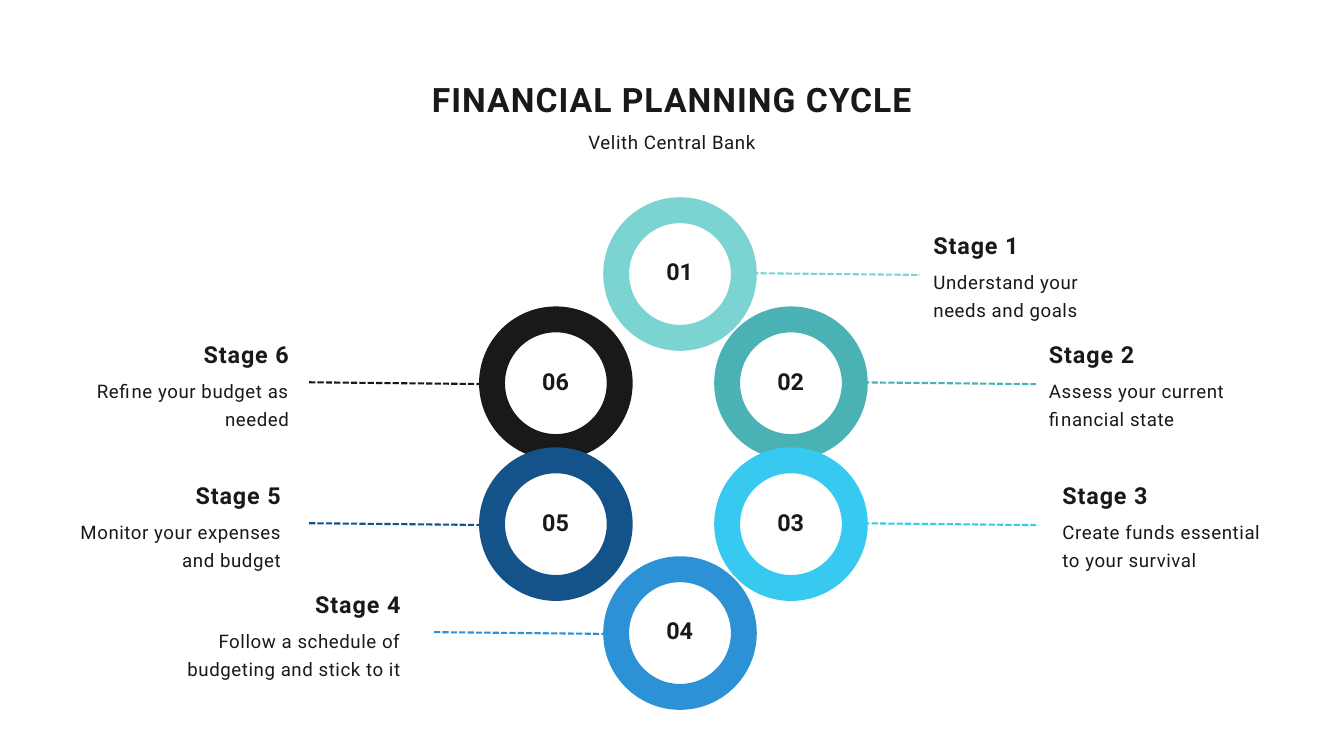
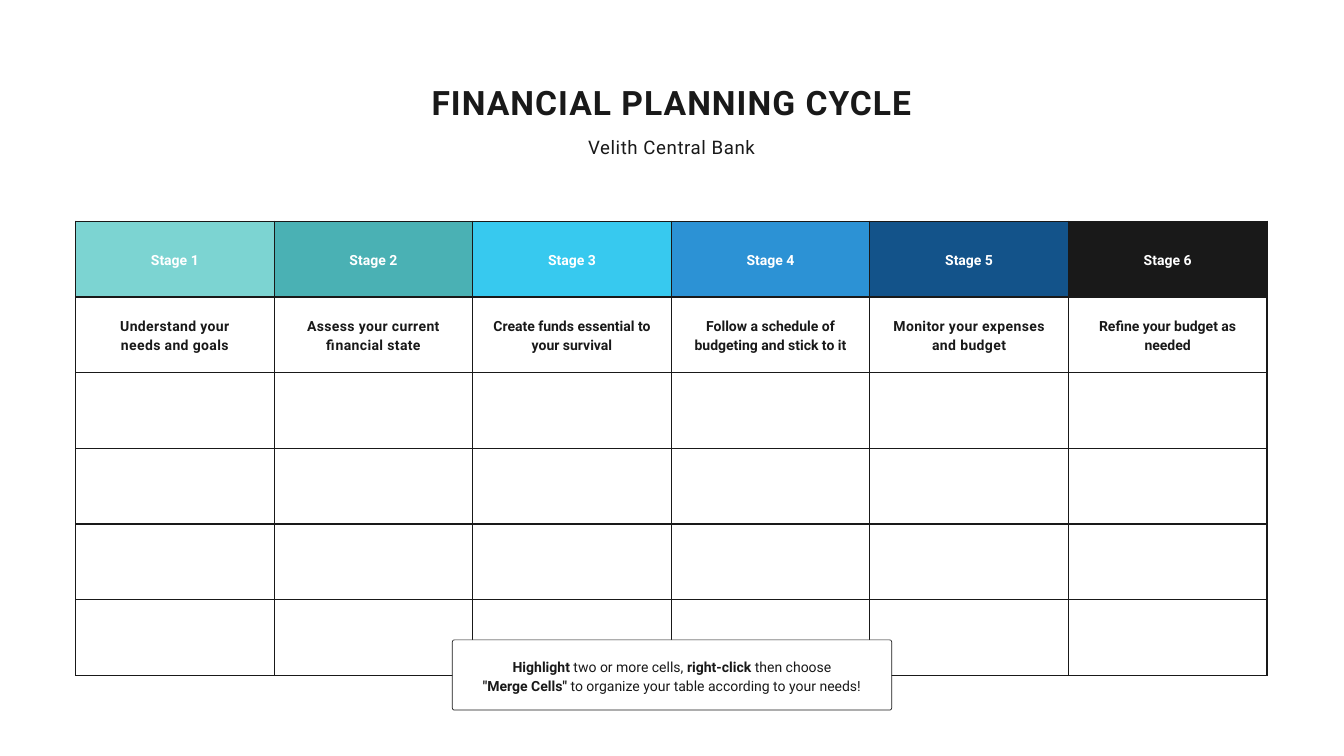
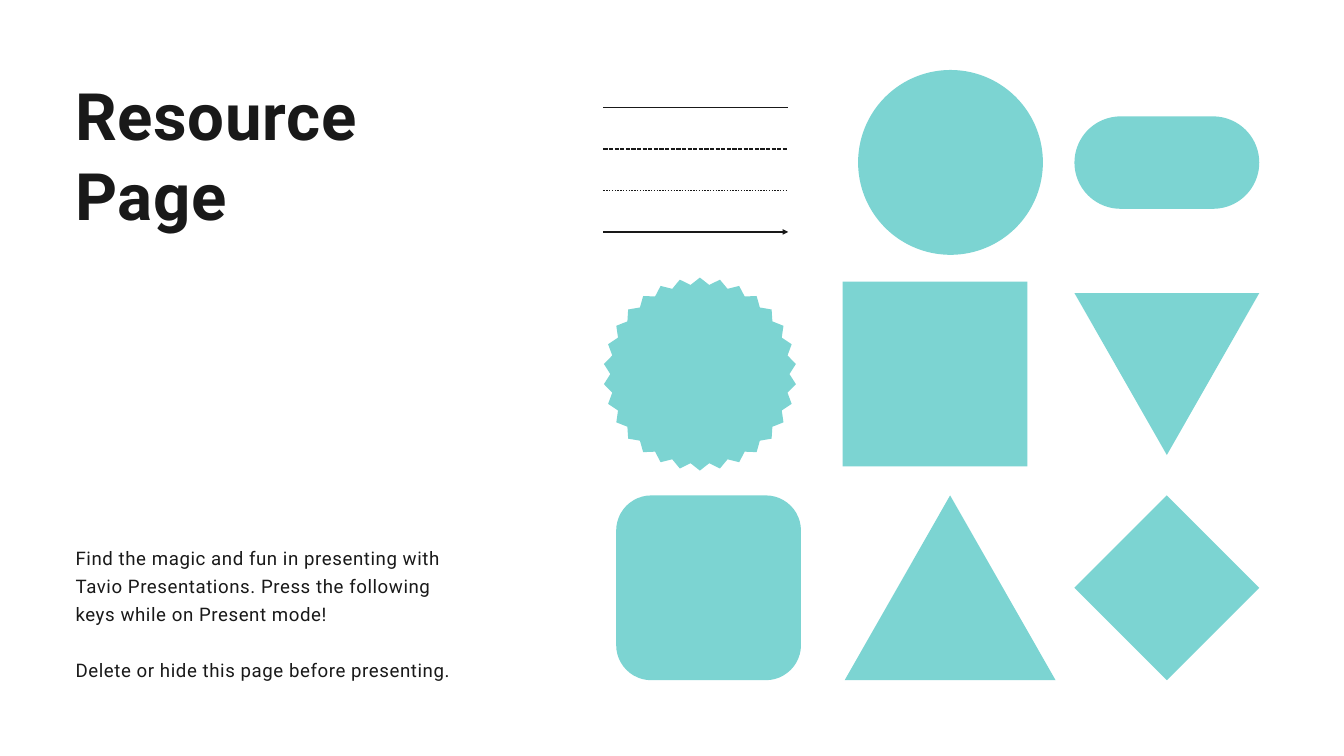
import math
from dataclasses import dataclass, replace

import lxml.etree as etree
import pptx
import pptx.dml.color
import pptx.enum.dml
import pptx.enum.shapes
import pptx.enum.text
import pptx.oxml.ns
import pptx.util

Pt = pptx.util.Pt
qn = pptx.oxml.ns.qn
Shape = pptx.enum.shapes.MSO_SHAPE
Dash = pptx.enum.dml.MSO_LINE
Align = pptx.enum.text.PP_ALIGN
Anchor = pptx.enum.text.MSO_ANCHOR


@dataclass(frozen=True)
class Style:
    size: float
    lead: float
    bold: bool = False
    track: float = 0
    color: str = "191919"


@dataclass(frozen=True)
class Theme:
    font: str = "Roboto"
    ink: str = "191919"
    paper: str = "FFFFFF"
    mint: str = "7CD4D2"
    title: Style = Style(36, 47.2, True, 1.1)
    body: Style = Style(20, 30, track=0.6)
    stage: Style = Style(25, 35, True, 1)
    number: Style = Style(25, 37.5, True)
    cell: Style = Style(15, 21, True)
    note: Style = Style(15, 21)
    cover: Style = Style(70, 86.1, True, 0.7)


THEME = Theme()
TITLE = "FINANCIAL PLANNING CYCLE"
BANK = "Velith Central Bank"

# colour and lines of text, stage by stage
STAGES = [
    (THEME.mint, ["Understand your", "needs and goals"]),
    ("4AB1B4", ["Assess your current", "financial state"]),
    ("37C9EF", ["Create funds essential to your survival"]),
    ("2C92D5", ["Follow a schedule of budgeting and stick to it"]),
    ("13538A", ["Monitor your expenses", "and budget"]),
    (THEME.ink, ["Refine your budget as needed"]),
]

# ring left and top, far end of the dashes, text left and width
SPOTS = [
    (579.6, 0, 905, 919.5, 248),
    (698.5, 117, 1029.6, 1043.3, 217.5),
    (698.5, 268, 1029.6, 1057.7, 217.5),
    (579.6, 384.7, 384.5, 110.2, 238.3),
    (446.6, 268, 250.6, 0, 220.3),
    (446.6, 117, 250.6, 8.7, 220.3),
]
RING = 136.8


def rgb(code):
    return pptx.dml.color.RGBColor.from_string(code)


def write(frame, lines, style, align=Align.LEFT, gap=0):
    """Fill a frame; a line is a string or a list of (words, bold) runs."""
    frame.word_wrap = True
    for i, line in enumerate(lines):
        para = frame.add_paragraph() if i else frame.paragraphs[0]
        para.alignment = align
        para.line_spacing = Pt(style.lead)
        if i < len(lines) - 1:
            para.space_after = Pt(gap)
        runs = [(line, style.bold)] if isinstance(line, str) else line
        for words, bold in runs:
            run = para.add_run()
            run.text = words
            font = run.font
            font.name, font.size, font.bold = THEME.font, Pt(style.size), bold
            font.color.rgb = rgb(style.color)
            if style.track:
                run._r.get_or_add_rPr().set("spc", str(round(style.track * 100)))


def inset(target, side, ends):
    target.margin_left = target.margin_right = Pt(side)
    target.margin_top = target.margin_bottom = Pt(ends)


def label(slide, box, lines, style, align=Align.LEFT, anchor=Anchor.TOP, gap=0):
    frame = slide.shapes.add_textbox(*map(Pt, box)).text_frame
    inset(frame, 0, 0)
    frame.vertical_anchor = anchor
    write(frame, lines, style, align, gap)


def paint(shape, fill, line=None, width=0):
    shape.shadow.inherit = False
    shape.fill.solid()
    shape.fill.fore_color.rgb = rgb(fill)
    if line:
        shape.line.color.rgb = rgb(line)
        shape.line.width = Pt(width)
    else:
        shape.line.fill.background()


def form(slide, kind, box, fill, line=None, width=0, bend=None):
    shape = slide.shapes.add_shape(kind, *map(Pt, box))
    paint(shape, fill, line, width)
    if bend is not None:
        shape.adjustments[0] = bend
    return shape


def rule(slide, start, end, color, width, dash=None, arrow=False):
    straight = pptx.enum.shapes.MSO_CONNECTOR.STRAIGHT
    line = slide.shapes.add_connector(straight, *map(Pt, start + end))
    line.line.color.rgb = rgb(color)
    line.line.width = Pt(width)
    if dash:
        line.line.dash_style = dash
    if arrow:
        etree.SubElement(line.line._get_or_add_ln(), qn("a:tailEnd"), type="triangle")
    etree.SubElement(line._element.spPr, qn("a:effectLst"))


def heading(slide, box):
    left, top, width, height = box
    label(slide, (left, top, width, 45), [TITLE], THEME.title, Align.CENTER)
    label(slide, (left, top + height - 28, width, 28), [BANK], THEME.body, Align.CENTER)


def stage(slide, box, index):
    """Draw one ring with its number, dashes and text."""
    color, lines = STAGES[index]
    x, y, tip, side, width = SPOTS[index]
    left, top = box[0] + x, box[1] + y
    tip, side, mid = box[0] + tip, box[0] + side, top + RING / 2
    form(slide, Shape.OVAL, (left, top, RING, RING), THEME.paper, color, 27.75)
    label(slide, (left + 12.6, top, 111, 124), [f"{index + 1:02}"],
          THEME.number, Align.CENTER, Anchor.MIDDLE)
    right = tip > left
    ends = [(left + RING, mid - 1), (tip, mid + 1)] if right else \
        [(tip, mid - 1), (left, mid + 1)]
    rule(slide, *ends, color, 2.25, Dash.SQUARE_DOT)
    align = Align.LEFT if right else Align.RIGHT
    label(slide, (side, top + 17, width, 32), [f"Stage {index + 1}"], THEME.stage, align)
    label(slide, (side, top + 59, width, 58), lines, THEME.body, align)


def cycle(slide, box):
    for index in (0, 1, 5, 2, 4, 3):  # lower rings overlap upper ones
        stage(slide, box, index)


def edge(cell):
    """Draw all four borders of a cell."""
    props = cell._tc.get_or_add_tcPr()
    for side in "LRTB":
        line = etree.SubElement(props, qn(f"a:ln{side}"), w=str(Pt(1.5)))
        fill = etree.SubElement(line, qn("a:solidFill"))
        etree.SubElement(fill, qn("a:srgbClr"), val=THEME.ink)


def grid(slide, box, rows=6):
    table = slide.shapes.add_table(rows, len(STAGES), *map(Pt, box)).table
    table.first_row = table.horz_banding = False
    for row in table.rows:
        row.height = Pt(box[3] / rows)
    for c, (color, lines) in enumerate(STAGES):
        table.columns[c].width = Pt(box[2] / len(STAGES))
        for r in range(rows):
            cell = table.cell(r, c)
            edge(cell)
            cell.fill.solid()
            cell.fill.fore_color.rgb = rgb(THEME.paper if r else color)
            cell.vertical_anchor = Anchor.MIDDLE
            inset(cell, 13.7, 13.7)
        head = replace(THEME.cell, color=THEME.paper)
        write(table.cell(0, c).text_frame, [f"Stage {c + 1}"], head, Align.CENTER)
        style = replace(THEME.cell, track=0.4 if len(lines) > 1 else 0)
        write(table.cell(1, c).text_frame, lines, style, Align.CENTER)


def note(slide, box):
    card = form(slide, Shape.ROUNDED_RECTANGLE, box, THEME.paper, THEME.ink, 0.75, 0.03)
    frame = card.text_frame
    inset(frame, 20, 0)
    frame.vertical_anchor = Anchor.MIDDLE
    write(frame, [
        [("Highlight", True), (" two or more cells, ", False),
         ("right-click", True), (" then choose", False)],
        [('"Merge Cells" ', True),
         ("to organize your table according to your needs!", False)],
    ], THEME.note, Align.CENTER)


def intro(slide, box):
    left, top, width, height = box
    label(slide, (left, top, width, 171), ["Resource Page"], THEME.cover)
    label(slide, (left, top + height - 149, width, 149), [
        "Find the magic and fun in presenting with Tavio Presentations. "
        "Press the following keys while on Present mode!",
        "Delete or hide this page before presenting.",
    ], THEME.body, gap=30)


def seal(slide, x, y, outer=103.4, inner=96, teeth=30):
    """Draw a toothed disc around the centre x, y."""
    dots = []
    for i in range(2 * teeth):
        turn = math.pi * i / teeth
        reach = inner if i % 2 else outer
        dots.append((Pt(x + reach * math.sin(turn)), Pt(y - reach * math.cos(turn))))
    pen = slide.shapes.build_freeform(*dots[0])
    pen.add_line_segments(dots[1:], close=True)
    paint(pen.convert_to_shape(), THEME.mint)


def samples(slide, box):
    left, top = box[:2]
    size, low, right = 198, 455.8, 504.7
    for kind, x, y, width, height, bend in [
        (Shape.RECTANGLE, 256.3, 226.8, size, size, None),
        (Shape.ROUNDED_RECTANGLE, 13.7, low, size, size, 0.19),
        (Shape.OVAL, 272.9, 0, size, size, None),
        (Shape.ISOSCELES_TRIANGLE, 258.5, low, 226, size, None),
        (Shape.FLOWCHART_MERGE, right, 239, size, 173.5, None),
        (Shape.DIAMOND, right, low, size, size, None),
        (Shape.ROUNDED_RECTANGLE, right, 49.7, size, size / 2, 0.5),
    ]:
        form(slide, kind, (left + x, top + y, width, height), THEME.mint, bend=bend)
    for i, dash in enumerate([None, Dash.SQUARE_DOT, Dash.ROUND_DOT, None]):
        y = top + 40.3 + 44.4 * i
        rule(slide, (left, y), (left + size, y), THEME.ink, 1.5, dash, arrow=i == 3)
    seal(slide, left + 103.4, top + 325.8)


def main():
    deck = pptx.Presentation()
    deck.slide_width, deck.slide_height = Pt(1440), Pt(810)
    first, second, third = (
        deck.slides.add_slide(deck.slide_layouts[6]) for _ in range(3))

    heading(first, (349.2, 80.6, 741.6, 82))
    cycle(first, (80.6, 225.2, 1275, 521.5))

    grid(second, (81, 237, 1276.6, 486.7))
    note(second, (484.6, 685.6, 470.8, 75.2))
    heading(second, (260.6, 84.2, 918, 83.5))

    intro(third, (81, 78.5, 412.6, 650))
    samples(third, (646.5, 75, 702.7, 653.8))

    deck.save("out.pptx")


if __name__ == "__main__":
    main()
